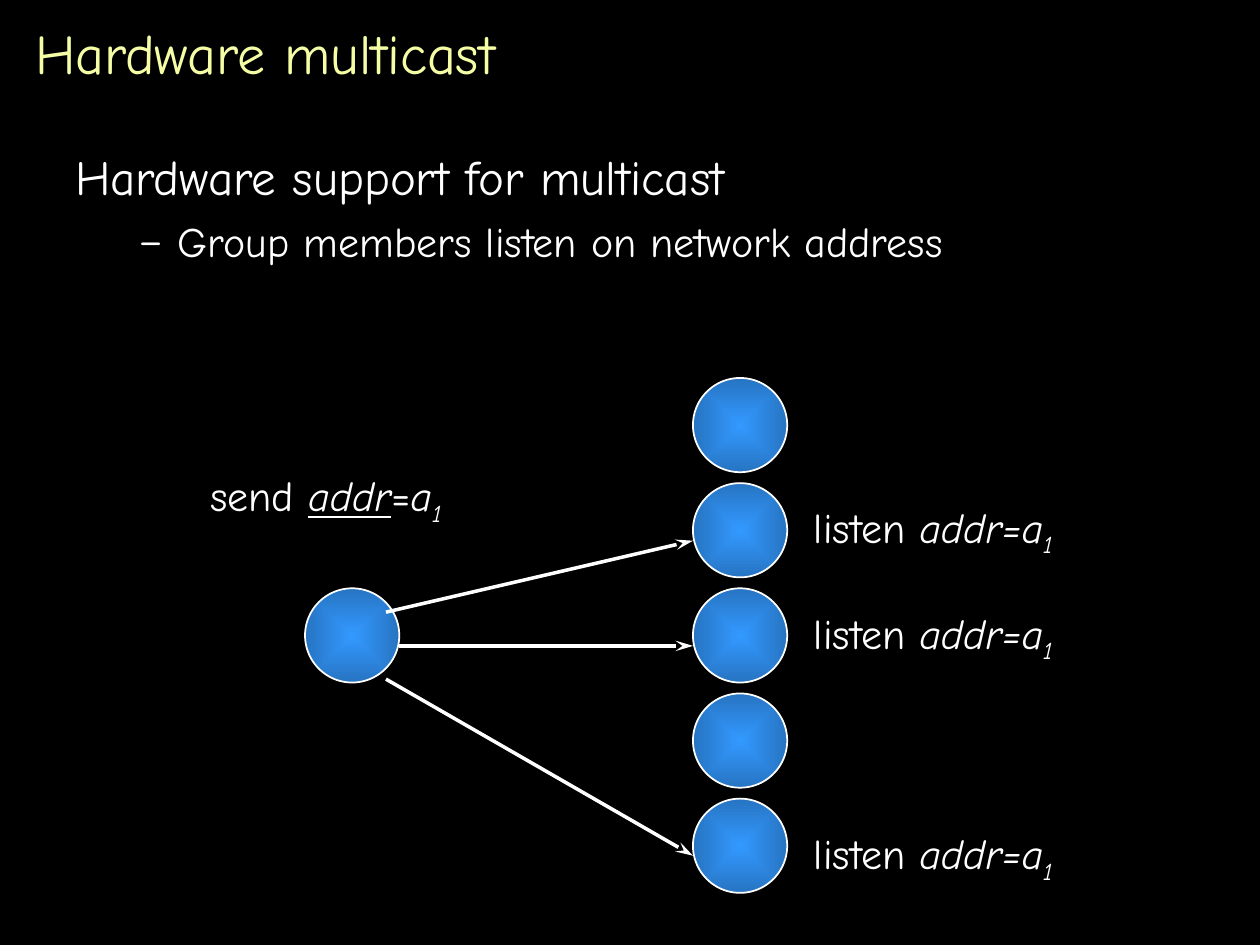
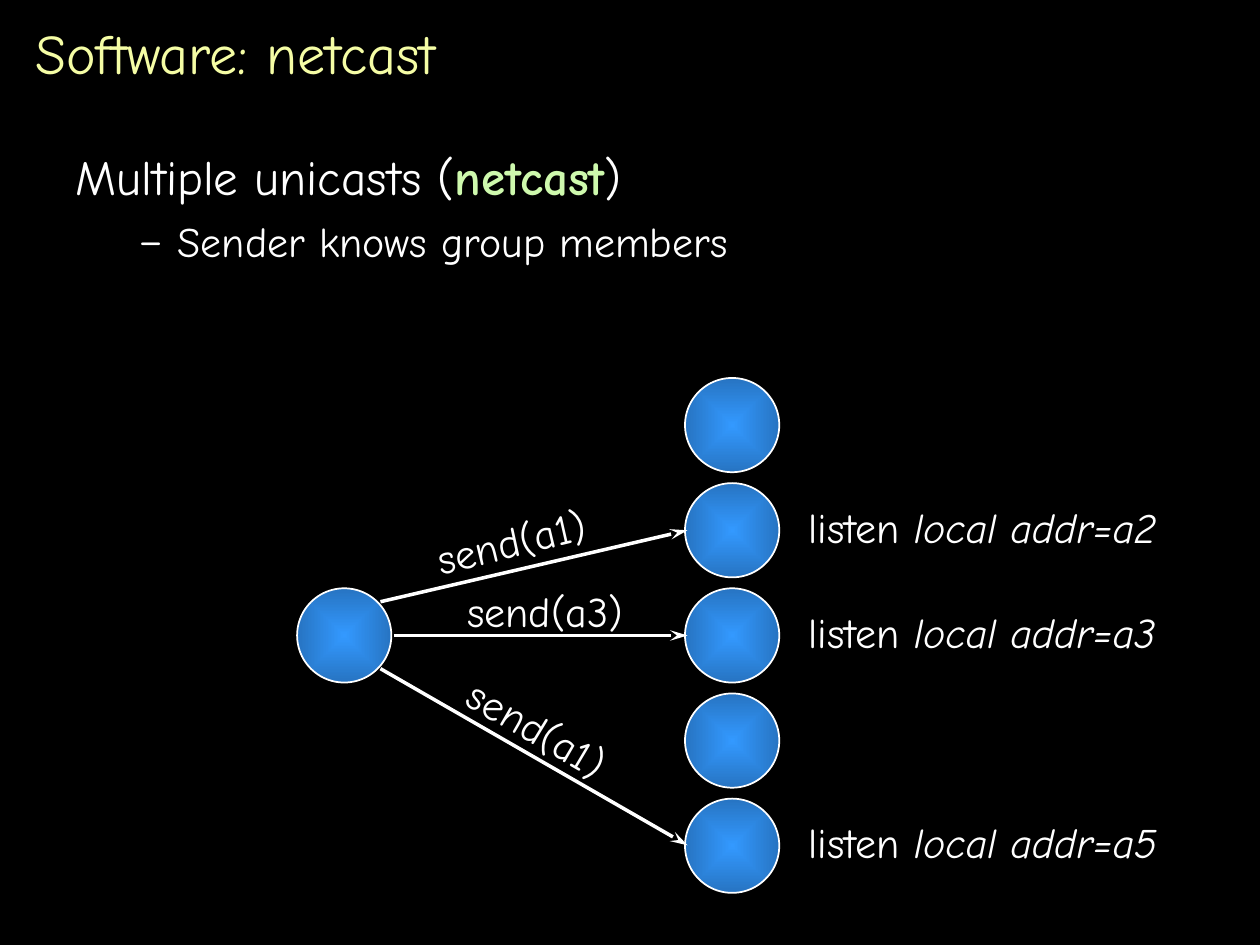
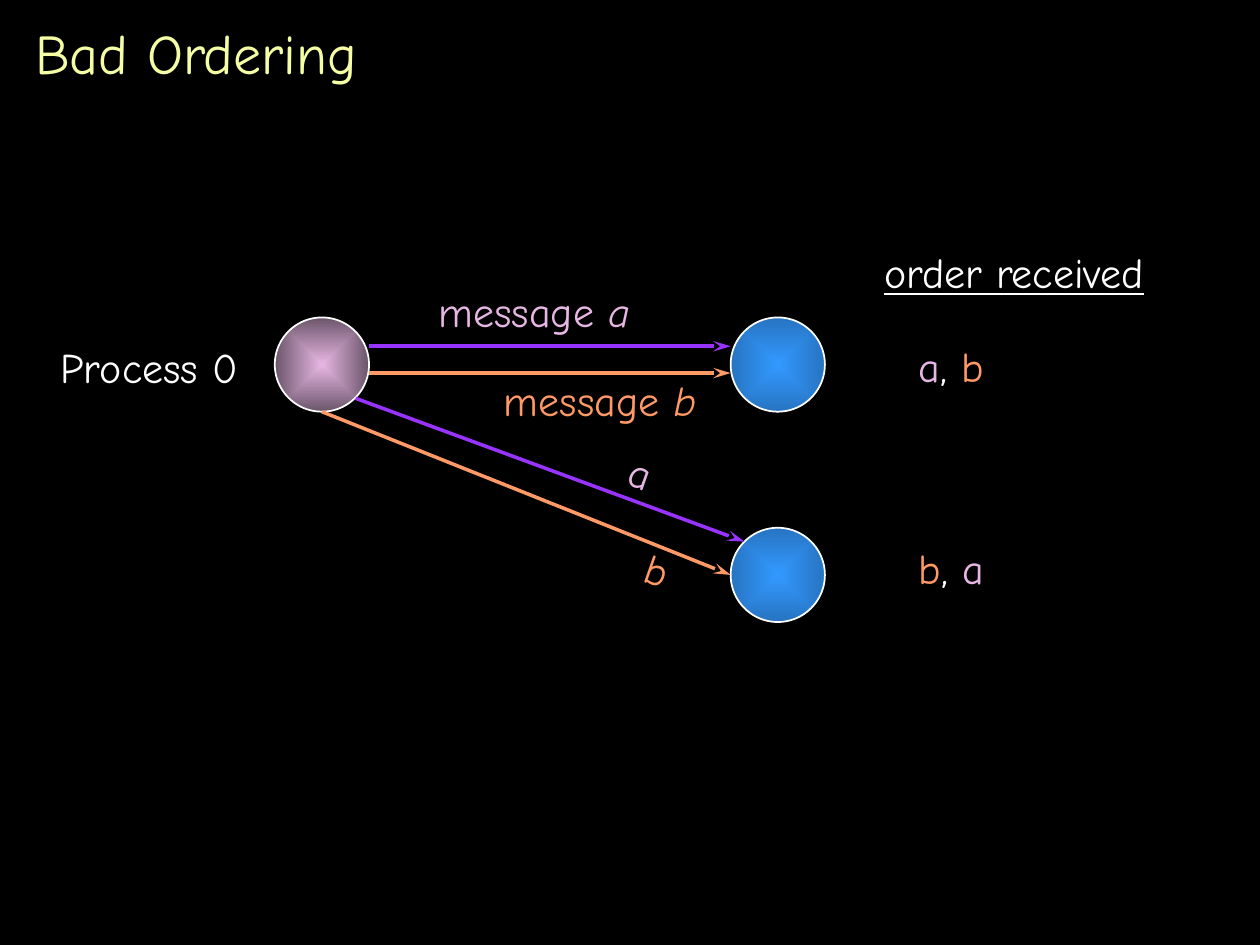
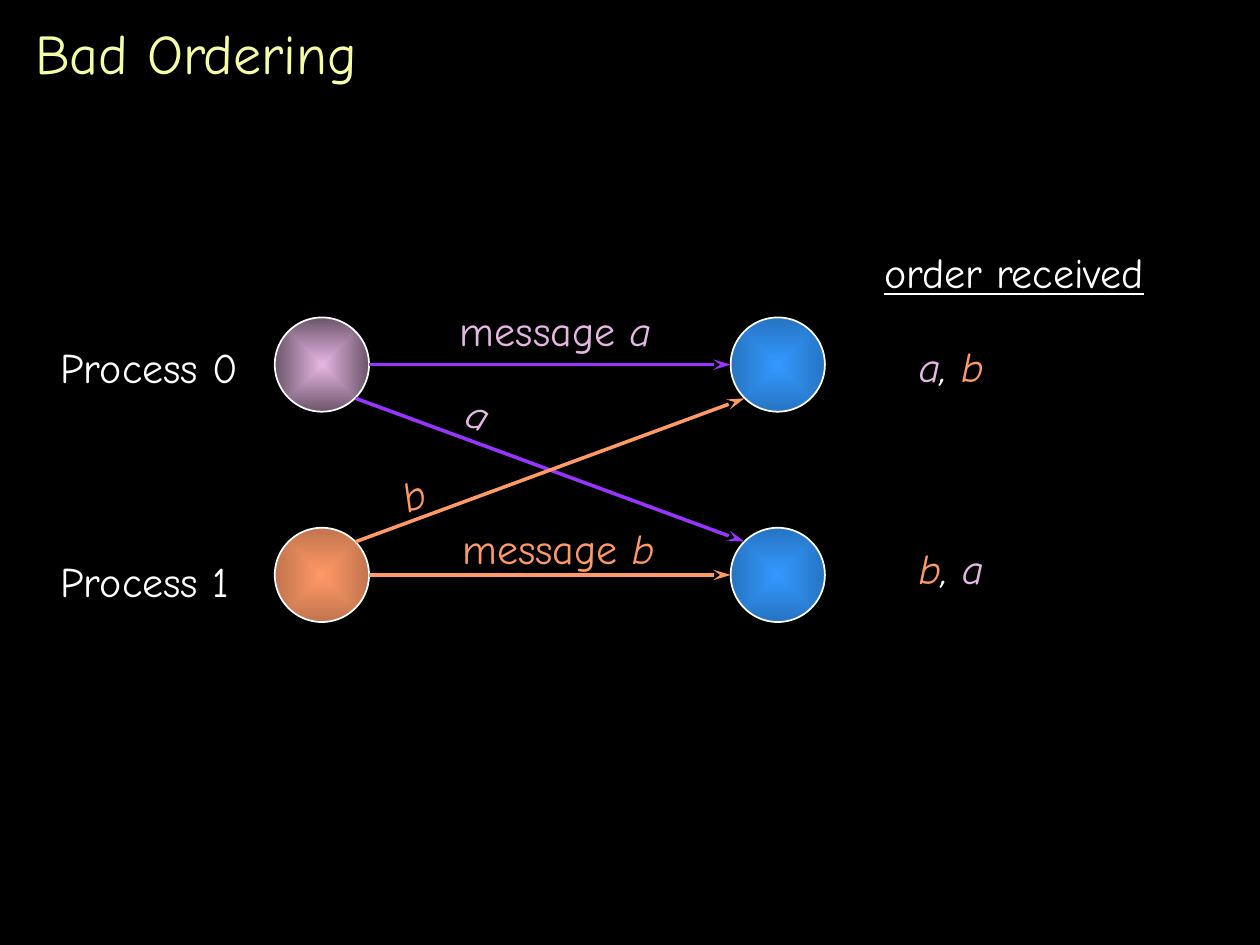
from collections import namedtuple

from lxml.etree import SubElement
from pptx import Presentation
from pptx.dml.color import RGBColor
from pptx.enum.shapes import MSO_CONNECTOR, MSO_SHAPE
from pptx.enum.text import MSO_ANCHOR, MSO_AUTO_SIZE
from pptx.oxml.ns import qn
from pptx.util import Cm, Pt

FONT = "Comic Neue"
BLACK, WHITE = "000000", "FFFFFF"
YELLOW, GREEN = "F5FDA5", "CEF9AD"
PINK, ORANGE, PURPLE = "E7B7E4", "FF9966", "9933FF"
BLUE_BALL = ("3399FF", "2774C2")
PINK_BALL = (PINK, "6B556A")
ORANGE_BALL = (ORANGE, "C2744E")

BALL = 1.9
HALF = BALL / 2
STEP = 2.12
SLACK = 0.1

Box = namedtuple("Box", "left top width height")
Run = namedtuple("Run", "text color style", defaults=(WHITE, ""))
Note = namedtuple("Note", "x y width runs turn", defaults=(0,))
TITLE_BOX = Box(0.46, 0.2, 24.56, 1.7)
BODY_BOX = Box(1.27, 2.82, 22.86, 14.2)


def paint(code):
    return RGBColor.from_string(code)


def add_runs(para, runs, size):
    for part in runs:
        run = para.add_run()
        run.text = part.text
        font = run.font
        font.name = FONT
        font.size = Pt(size)
        font.color.rgb = paint(part.color)
        font.bold = "b" in part.style
        font.italic = "i" in part.style
        font.underline = "u" in part.style
        if "s" in part.style:
            font._element.set("baseline", "-25000")


def add_text(slide, box):
    shape = slide.shapes.add_textbox(*(Cm(side) for side in box))
    shape.text_frame.word_wrap = True
    return shape


def add_note(slide, box, note, height=1.27):
    place = Box(box.left + note.x, box.top + note.y, note.width + SLACK, height)
    shape = add_text(slide, place)
    shape.rotation = note.turn
    frame = shape.text_frame
    frame.word_wrap = False
    frame.auto_size = MSO_AUTO_SIZE.SHAPE_TO_FIT_TEXT
    add_runs(frame.paragraphs[0], note.runs, 24)


def add_title(slide, text):
    frame = add_text(slide, TITLE_BOX).text_frame
    frame.vertical_anchor = MSO_ANCHOR.MIDDLE
    add_runs(frame.paragraphs[0], [Run(text, YELLOW)], 32)


def indent(para, left, hang):
    props = para._p.get_or_add_pPr()
    props.set("marL", str(Cm(left)))
    props.set("indent", str(Cm(-hang)))
    return props


def add_body(slide, head, point):
    frame = add_text(slide, BODY_BOX).text_frame
    first = frame.paragraphs[0]
    indent(first, 0.97, 0.97)
    add_runs(first, head, 28)
    second = frame.add_paragraph()
    second.level = 1
    second.space_before = Pt(6)
    props = indent(second, 2.06, 0.79)
    tint = SubElement(props, qn("a:buClr"))
    SubElement(tint, qn("a:srgbClr"), val=WHITE)
    SubElement(props, qn("a:buFont"), typeface=FONT)
    SubElement(props, qn("a:buChar"), char="–")
    add_runs(second, [Run(point)], 24)


def add_ball(slide, box, x, y, tints=BLUE_BALL):
    ball = slide.shapes.add_shape(MSO_SHAPE.OVAL, Cm(box.left + x), Cm(box.top + y), Cm(BALL), Cm(BALL))
    ball.shadow.inherit = False
    ball.line.color.rgb = paint(WHITE)
    ball.line.width = Pt(1)
    ball.fill.gradient()
    for stop, tint, spot in zip(ball.fill.gradient_stops, tints, (0, 1)):
        stop.color.rgb = paint(tint)
        stop.position = spot
    blend = ball._element.spPr.find(qn("a:gradFill"))
    blend.remove(blend.find(qn("a:lin")))
    route = SubElement(blend, qn("a:path"), {"path": "rect"})
    SubElement(route, qn("a:fillToRect"), {side: "50000" for side in "ltrb"})


def add_arrow(slide, box, start, end, color=WHITE):
    ends = [Cm(base + shift) for point in (start, end) for base, shift in zip(box, point)]
    arrow = slide.shapes.add_connector(MSO_CONNECTOR.STRAIGHT, *ends)
    arrow.line.color.rgb = paint(color)
    arrow.line.width = Pt(2)
    SubElement(arrow.line._ln, qn("a:tailEnd"), type="stealth", w="med", len="lg")
    SubElement(arrow._element.spPr, qn("a:effectLst"))


def add_fan(slide, box, shift):
    far = 7.82
    for row in range(5):
        add_ball(slide, box, far, row * STEP)
    add_ball(slide, box, 0, 2 * STEP)
    dx, dy = shift
    for x, y, end in ((1.63, 4.72, 3.28), (BALL, 5.4, 5.4), (1.63, 6.07, 9.63)):
        add_arrow(slide, box, (x + dx, y + dy), (far + dx, end + dy))


def add_order(slide, box, sources, arrows, notes, style=""):
    far, low = 9.19, 2 * STEP
    for row, tints in enumerate(sources):
        add_ball(slide, box, 0, row * low, tints)
        add_note(slide, box, Note(-4.57, 0.36 + row * 4.31, 4.09 - row * 0.18, [Run(f"Process {row}")]))
    for row in range(2):
        add_ball(slide, box, far, row * low)
    for arrow in arrows:
        add_arrow(slide, box, *arrow)
    for note in notes:
        add_note(slide, box, note)
    add_note(slide, box, Note(12.04, -1.55, 5.79, [Run("order received", WHITE, "u")]))
    marks = [Run("a", PINK, style), Run("b", ORANGE, style)]
    for y, (one, two) in ((0.33, marks), (4.42, marks[::-1])):
        add_note(slide, box, Note(12.73, y, 1.8, [one, Run(", ", WHITE, style), two]))


def message(x, y, name, color):
    return Note(x, y, 4.37, [Run("message ", color), Run(name, color, "i")])


def letter(x, y, name, color, turn, style=""):
    return Note(x, y, 0.95, [Run(name, color, style)], turn)


def hardware(slide):
    add_title(slide, "Hardware multicast")
    add_body(slide, [Run("Hardware support for multicast")], "Group members listen on network address")
    box = Box(6.15, 7.62, 15.34, 10.38)
    add_fan(slide, box, (0, 0))
    small = Run("1", WHITE, "is")
    listen = [Run("listen "), Run("addr=a", WHITE, "i"), small]
    for y in (2.36, 4.5, 8.94):
        add_note(slide, box, Note(10.01, y, 5.33, listen), 1.42)
    send = [Run("send "), Run("addr", WHITE, "iu"), Run("="), Run("a", WHITE, "i"), small]
    add_note(slide, box, Note(-2.16, 1.73, 5.16, send), 1.42)


def netcast(slide):
    add_title(slide, "Software: netcast")
    head = [Run("Multiple unicasts ("), Run("netcast", GREEN, "b"), Run(")")]
    add_body(slide, head, "Sender knows group members")
    box = Box(5.99, 7.62, 17.6, 10.38)
    add_fan(slide, box, (0.05, -0.21))
    for row, name in ((1, "a2"), (2, "a3"), (4, "a5")):
        listen = [Run("listen "), Run(f"local addr={name}", WHITE, "i")]
        add_note(slide, box, Note(10.06, row * STEP + 0.24, 7.54, listen))
    sends = ((2.54, 2.64, 3.56, "a1", 346.4), (3.18, 4.06, 3.66, "a3", 0), (3.07, 6.45, 3.56, "a1", 30))
    for x, y, width, name, turn in sends:
        add_note(slide, box, Note(x, y, width, [Run(f"send({name})")], turn))


ORDER_BOX = Box(5.54, 6.4, 17.83, 6.14)
FALL = ((1.63, 1.63), (9.47, 4.52), PURPLE)


def one_source(slide):
    add_title(slide, "Bad Ordering")
    arrows = [
        ((BALL, 0.58), (9.19, 0.58), PURPLE),
        FALL,
        ((BALL, 1.12), (9.19, 1.12), ORANGE),
        ((HALF, BALL), (9.19, 5.19), ORANGE),
    ]
    notes = [
        message(3.05, -0.76, "a", PINK),
        letter(6.91, 2.51, "a", PINK, 19.3),
        message(4.37, 1.02, "b", ORANGE),
        letter(7.24, 4.47, "b", ORANGE, 19.3),
    ]
    add_order(slide, ORDER_BOX, [PINK_BALL], arrows, notes)


def two_sources(slide):
    add_title(slide, "Bad Ordering")
    arrows = [
        ((BALL, HALF), (9.19, HALF), PURPLE),
        FALL,
        ((1.63, 4.52), (9.47, 1.63), ORANGE),
        ((BALL, 5.19), (9.19, 5.19), ORANGE),
    ]
    notes = [
        message(3.48, -0.38, "a", PINK),
        letter(3.66, 1.32, "a", PINK, 19.3, "i"),
        message(3.53, 4.01, "b", ORANGE),
        letter(2.31, 2.9, "b", ORANGE, 340, "i"),
    ]
    add_order(slide, ORDER_BOX, [PINK_BALL, ORANGE_BALL], arrows, notes, "i")


def main():
    deck = Presentation()
    deck.slide_width, deck.slide_height = Cm(25.4), Cm(19.05)
    ground = deck.slide_master.background.fill
    ground.solid()
    ground.fore_color.rgb = paint(BLACK)
    for build in (hardware, netcast, one_source, two_sources):
        build(deck.slides.add_slide(deck.slide_layouts[6]))
    deck.save("out.pptx")


if __name__ == "__main__":
    main()
